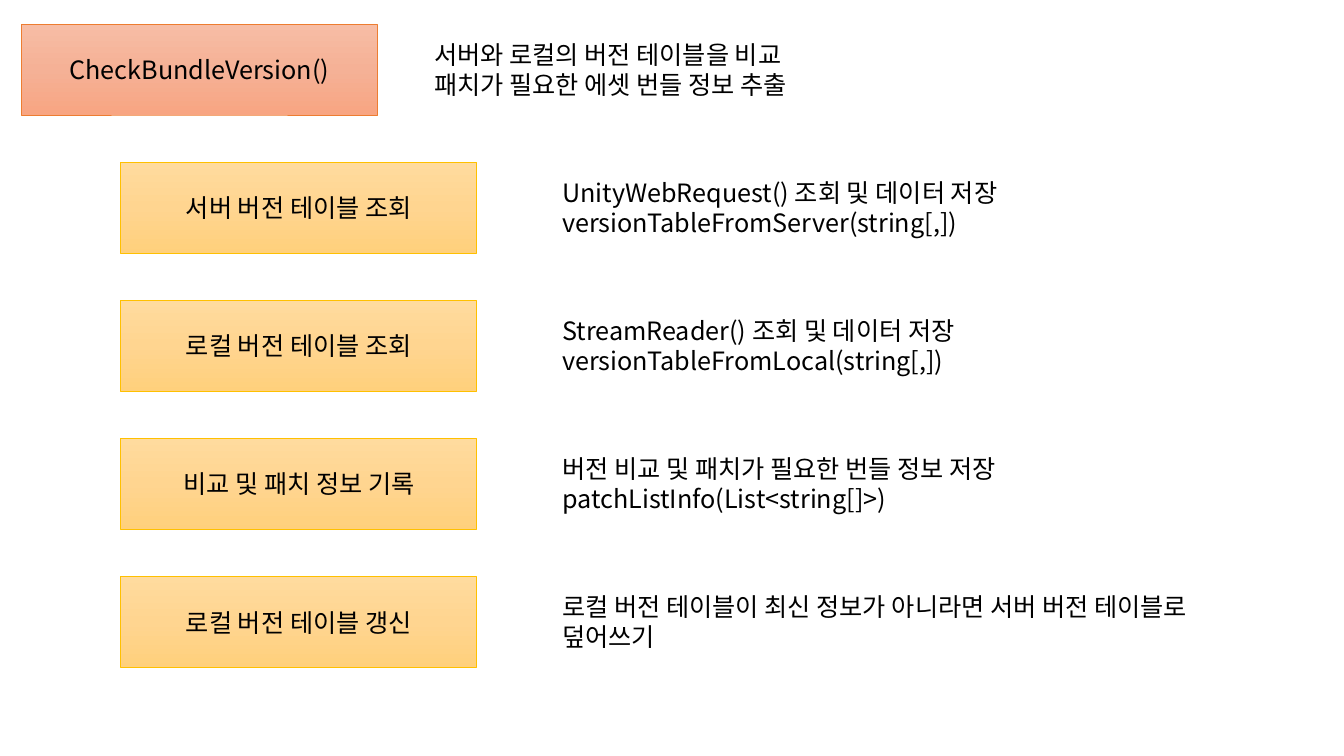
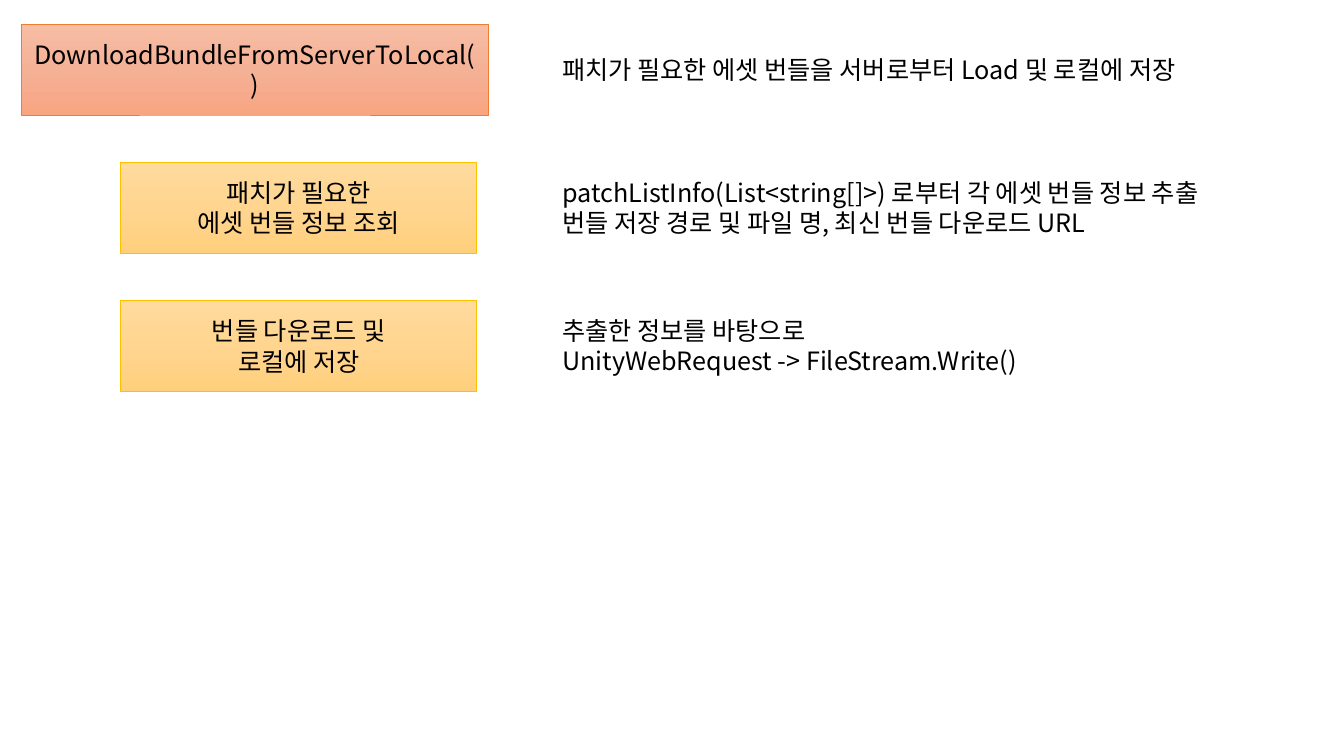
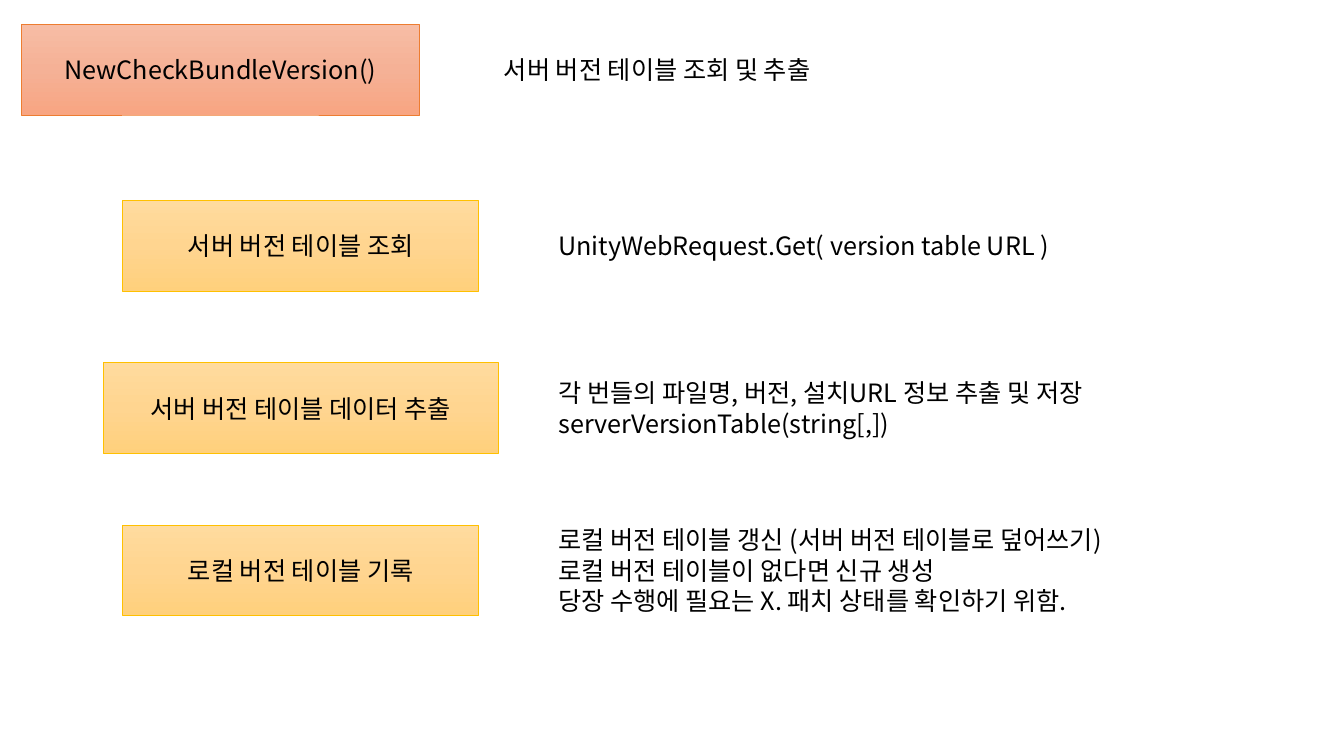
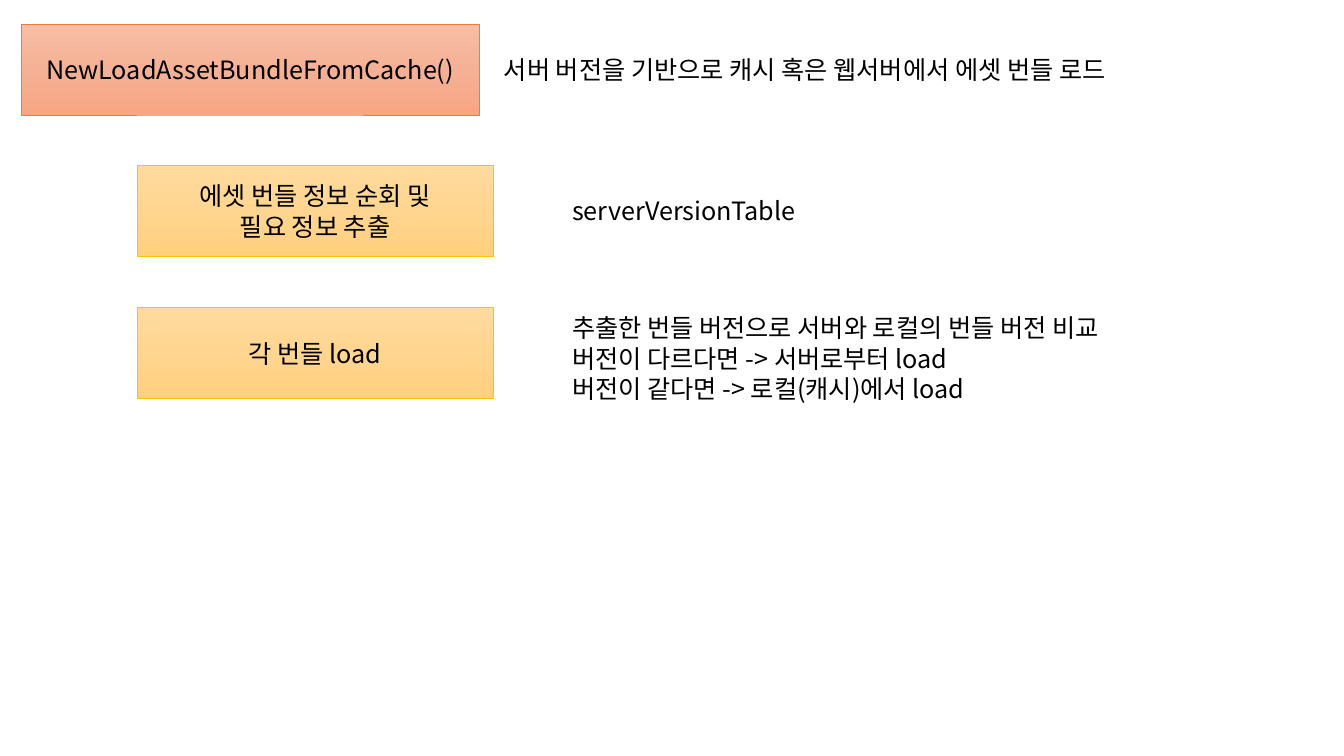
from copy import deepcopy
from dataclasses import dataclass

from lxml import etree
from pptx import Presentation
from pptx.dml.color import RGBColor
from pptx.enum.shapes import MSO_SHAPE
from pptx.enum.text import MSO_ANCHOR, MSO_AUTO_SIZE, PP_ALIGN
from pptx.oxml.ns import qn
from pptx.slide import Slide
from pptx.text.text import TextFrame
from pptx.util import Cm, Pt

RECT = MSO_SHAPE.RECTANGLE
MIDDLE = MSO_ANCHOR.MIDDLE
GROW = MSO_AUTO_SIZE.SHAPE_TO_FIT_TEXT
LEFT, CENTER = PP_ALIGN.LEFT, PP_ALIGN.CENTER

FONT = "Noto Sans CJK KR"
FONT_SIZE = Pt(18)
TEXT_COLOR = "000000"
BOX_HEIGHT = 2.29
HEADER_LEFT = 0.54
HEADER_TOP = 0.61
STEP_WIDTH = 8.97
LINE_HEIGHT = 0.77
NOTE_PADDING = 0.25


@dataclass(frozen=True)
class BoxStyle:
    gradient: tuple[str, str, str]
    line: str


@dataclass(frozen=True)
class Step:
    label: str
    note: str
    width: float = STEP_WIDTH
    note_lines: int = 0
    note_drop: float = 0


@dataclass(frozen=True)
class Page:
    header: Step
    header_note_left: float
    header_note_width: float
    column_center: float
    first_top: float
    pitch: float
    note_left: float
    note_width: float
    steps: tuple[Step, ...]


HEADER_STYLE = BoxStyle(("F7BDA5", "F5B196", "F8A582"), "ED7D31")
STEP_STYLE = BoxStyle(("FFDB9E", "FFD590", "FFD07C"), "FFC000")

PAGES = (
    Page(
        Step("CheckBundleVersion()",
             "서버와 로컬의 버전 테이블을 비교\n패치가 필요한 에셋 번들 정보 추출"),
        10.69, 15.82, 7.53, 4.09, 3.48, 13.92, 18.39,
        (
            Step("서버 버전 테이블 조회",
                 "UnityWebRequest() 조회 및 데이터 저장\n"
                 "versionTableFromServer(string[,])"),
            Step("로컬 버전 테이블 조회",
                 "StreamReader() 조회 및 데이터 저장\n"
                 "versionTableFromLocal(string[,])"),
            Step("비교 및 패치 정보 기록",
                 "버전 비교 및 패치가 필요한 번들 정보 저장\n"
                 "patchListInfo(List<string[]>)"),
            Step("로컬 버전 테이블 갱신",
                 "로컬 버전 테이블이 최신 정보가 아니라면 서버 버전 테이블로 덮어쓰기",
                 note_lines=2),
        ),
    ),
    Page(
        Step("DownloadBundleFromServerToLocal()",
             "패치가 필요한 에셋 번들을 서버로부터 Load 및 로컬에 저장", 11.76),
        13.92, 17.93, 7.53, 4.09, 3.48, 13.92, 17.93,
        (
            Step("패치가 필요한\n에셋 번들 정보 조회",
                 "patchListInfo(List<string[]>) 로부터 각 에셋 번들 정보 추출\n"
                 "번들 저장 경로 및 파일 명, 최신 번들 다운로드 URL"),
            Step("번들 다운로드 및\n로컬에 저장",
                 "추출한 정보를 바탕으로\nUnityWebRequest -> FileStream.Write()"),
        ),
    ),
    Page(
        Step("NewCheckBundleVersion()", "서버 버전 테이블 조회 및 추출", 10.03),
        12.45, 17.93, 7.58, 5.05, 4.09, 13.82, 17.93,
        (
            Step("서버 버전 테이블 조회",
                 "UnityWebRequest.Get( version table URL )"),
            Step("서버 버전 테이블 데이터 추출",
                 "각 번들의 파일명, 버전, 설치URL 정보 추출 및 저장\n"
                 "serverVersionTable(string[,])", 9.96),
            Step("로컬 버전 테이블 기록",
                 "로컬 버전 테이블 갱신 (서버 버전 테이블로 덮어쓰기)\n"
                 "로컬 버전 테이블이 없다면 신규 생성\n"
                 "당장 수행에 필요는 X. 패치 상태를 확인하기 위함."),
        ),
    ),
    Page(
        Step("NewLoadAssetBundleFromCache()",
             "서버 버전을 기반으로 캐시 혹은 웹서버에서 에셋 번들 로드", 11.53),
        12.45, 17.93, 7.94, 4.17, 3.58, 14.17, 17.93,
        (
            Step("에셋 번들 정보 순회 및\n필요 정보 추출", "serverVersionTable"),
            Step("각 번들 load",
                 "추출한 번들 버전으로 서버와 로컬의 번들 버전 비교\n"
                 "버전이 다르다면 -> 서버로부터 load\n"
                 "버전이 같다면 -> 로컬(캐시)에서 load", note_drop=0.14),
        ),
    ),
)


def rgb(value: str) -> RGBColor:
    return RGBColor.from_string(value)


def write(tf: TextFrame, text: str, align: PP_ALIGN) -> None:
    tf.word_wrap = True
    for i, line in enumerate(text.split("\n")):
        p = tf.add_paragraph() if i else tf.paragraphs[0]
        p.alignment = align
        r = p.add_run()
        r.text = line
        r.font.size = FONT_SIZE
        r.font.color.rgb = rgb(TEXT_COLOR)
        r.font.name = FONT
        ea = etree.SubElement(r.font._element, qn("a:ea"))
        ea.set("typeface", FONT)


def add_box(s: Slide, left: float, top: float, width: float,
            text: str, style: BoxStyle) -> None:
    sp = s.shapes.add_shape(RECT, Cm(left), Cm(top), Cm(width), Cm(BOX_HEIGHT))
    sp.shadow.inherit = False
    sp.line.color.rgb = rgb(style.line)
    sp.line.width = Pt(0.5)
    sp.fill.gradient()
    sp.fill.gradient_angle = 270
    stop_list = sp._element.spPr.find(".//" + qn("a:gsLst"))
    stop_list.insert(1, deepcopy(stop_list[0]))
    for i, stop in enumerate(sp.fill.gradient_stops):
        stop.position = i / 2
        stop.color.rgb = rgb(style.gradient[i])
    sp.text_frame.vertical_anchor = MIDDLE
    write(sp.text_frame, text, CENTER)


def add_note(s: Slide, left: float, box_top: float, width: float,
             step: Step) -> None:
    lines = step.note_lines or step.note.count("\n") + 1
    height = NOTE_PADDING + LINE_HEIGHT * lines
    top = box_top + (BOX_HEIGHT - height) / 2 + step.note_drop
    sp = s.shapes.add_textbox(Cm(left), Cm(top), Cm(width), Cm(height))
    write(sp.text_frame, step.note, LEFT)
    sp.text_frame.auto_size = GROW


def draw_page(s: Slide, page: Page) -> None:
    header = page.header
    add_box(s, HEADER_LEFT, HEADER_TOP, header.width, header.label, HEADER_STYLE)
    add_note(s, page.header_note_left, HEADER_TOP, page.header_note_width, header)
    for i, step in enumerate(page.steps):
        top = page.first_top + i * page.pitch
        left = page.column_center - step.width / 2
        add_box(s, left, top, step.width, step.label, STEP_STYLE)
        add_note(s, page.note_left, top, page.note_width, step)


def main() -> None:
    prs = Presentation()
    prs.slide_width, prs.slide_height = Cm(33.87), Cm(19.05)
    blank = prs.slide_layouts[6]
    for page in PAGES:
        draw_page(prs.slides.add_slide(blank), page)
    prs.save("out.pptx")


if __name__ == "__main__":
    main()
